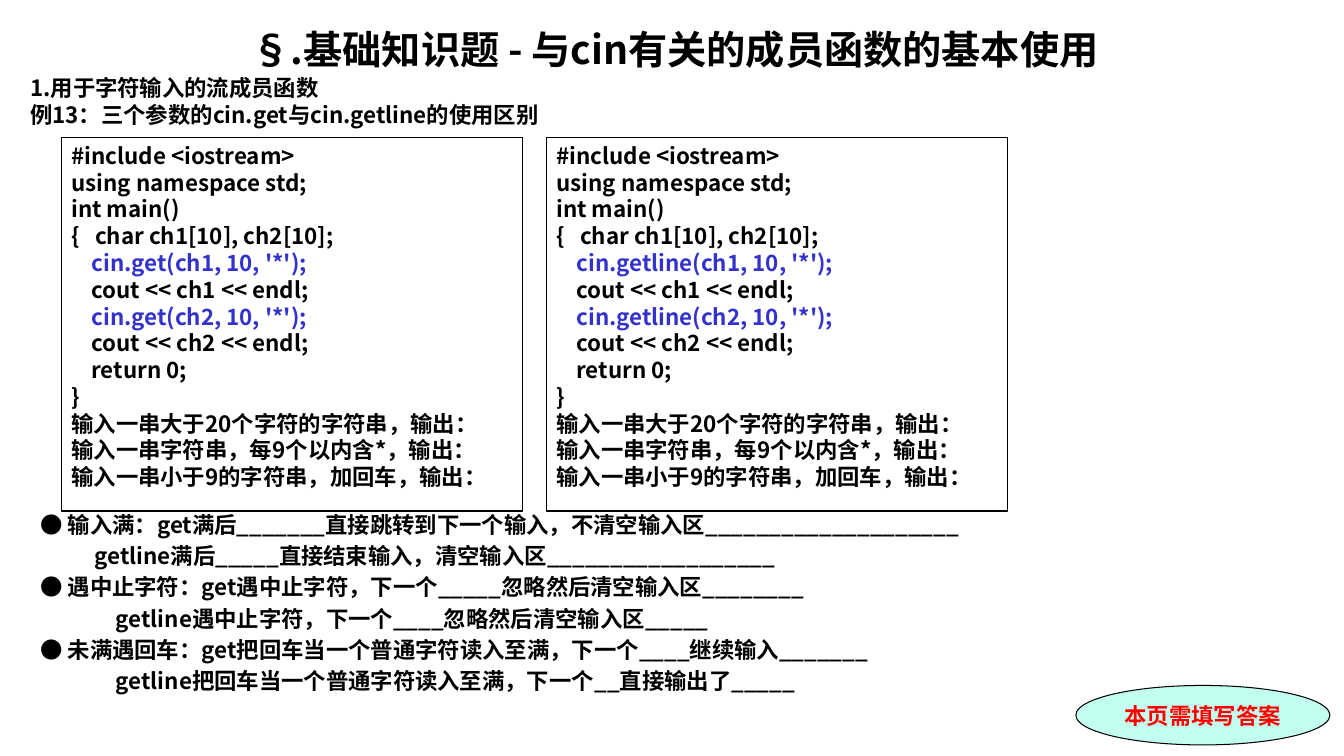
import pptx
import pptx.util
import pptx.dml.color
import pptx.enum.shapes
import pptx.enum.text
import pptx.oxml
import pptx.oxml.ns

Inches, Pt = pptx.util.Inches, pptx.util.Pt
RGB = pptx.dml.color.RGBColor
SHAPE = pptx.enum.shapes.MSO_SHAPE
ALIGN = pptx.enum.text.PP_ALIGN
ANCHOR = pptx.enum.text.MSO_ANCHOR

BLACK, BLUE, RED = RGB(0, 0, 0), RGB(0x33, 0x33, 0xCC), RGB(0xFF, 0, 0)
MINT = RGB(0xC2, 0xFF, 0xF0)
CJK, SERIF = "Noto Sans CJK SC", "Times New Roman"

# Each line is (text, indent in inches, colour)
TITLE = [("§.基础知识题 - 与cin有关的成员函数的基本使用", 0, BLACK)]
INTRO = [
    ("1.用于字符输入的流成员函数", 0, BLACK),
    ("例13：三个参数的cin.get与cin.getline的使用区别", 0, BLACK),
]
NOTES = [
    ("● 输入满：get满后_______直接跳转到下一个输入，不清空输入区____________________", 0, BLACK),
    ("getline满后_____直接结束输入，清空输入区__________________", 0.54, BLACK),
    ("● 遇中止字符：get遇中止字符，下一个_____忽略然后清空输入区________", 0, BLACK),
    ("getline遇中止字符，下一个____忽略然后清空输入区_____", 0.75, BLACK),
    ("● 未满遇回车：get把回车当一个普通字符读入至满，下一个____继续输入_______", 0, BLACK),
    ("getline把回车当一个普通字符读入至满，下一个__直接输出了_____", 0.75, BLACK),
]
BADGE = [("本页需填写答案", 0, RED)]
FUNCTIONS = ["get", "getline"]
CODE = [
    ("#include <iostream>", 0, BLACK),
    ("using namespace std;", 0, BLACK),
    ("int main()", 0, BLACK),
    ("{   char ch1[10], ch2[10];", 0, BLACK),
    ("cin.{}(ch1, 10, '*');", 0.2, BLUE),
    ("cout << ch1 << endl;", 0.2, BLACK),
    ("cin.{}(ch2, 10, '*');", 0.2, BLUE),
    ("cout << ch2 << endl;", 0.2, BLACK),
    ("return 0;", 0.2, BLACK),
    ("}", 0, BLACK),
    ("输入一串大于20个字符的字符串，输出：", 0, BLACK),
    ("输入一串字符串，每9个以内含*，输出：", 0, BLACK),
    ("输入一串小于9的字符串，加回车，输出：", 0, BLACK),
]

WIDTH, HEIGHT = 13.33, 7.5
LEFT, TEXT_WIDTH = 0.3, 12.79
CODE_LEFT, CODE_TOP, CODE_WIDTH, CODE_HEIGHT, CODE_STEP = 0.61, 1.36, 4.57, 3.71, 4.81
LEADING = 1.197


def write(tf, lines, size=16, font=CJK, align=ALIGN.LEFT, after=0, leading=LEADING):
    """Fill a text frame; leading is the line pitch as a share of the size."""
    tf.word_wrap = True
    for i, (text, indent, colour) in enumerate(lines):
        p = tf.paragraphs[0] if i == 0 else tf.add_paragraph()
        spacing = Pt(round(size * leading, 2)) if leading else None
        for name, value in {"alignment": align, "line_spacing": spacing,
                            "space_after": Pt(after)}.items():
            setattr(p, name, value)
        p._p.get_or_add_pPr().set("marL", str(Inches(indent)))
        r = p.add_run()
        r.text = text
        for name, value in {"size": Pt(size), "bold": True, "name": font}.items():
            setattr(r.font, name, value)
        r.font.color.rgb = colour
        ea = pptx.oxml.parse_xml(
            f'<a:ea {pptx.oxml.ns.nsdecls("a")} typeface="{CJK}"/>')
        r.font._rPr.find(pptx.oxml.ns.qn("a:latin")).addnext(ea)


def add_text(slide, box, lines, **style):
    tf = slide.shapes.add_textbox(*map(Inches, box)).text_frame
    for side in ("left", "right", "top", "bottom"):
        setattr(tf, f"margin_{side}", 0)
    write(tf, lines, **style)


def add_outlined(slide, kind, box, fill=None):
    sp = slide.shapes.add_shape(kind, *map(Inches, box))
    sp.shadow.inherit = False
    if fill is None:
        sp.fill.background()
    else:
        sp.fill.solid()
        sp.fill.fore_color.rgb = fill
    sp.line.color.rgb = BLACK
    sp.line.width = Pt(0.75)
    return sp


def main():
    prs = pptx.Presentation()
    prs.slide_width, prs.slide_height = Inches(WIDTH), Inches(HEIGHT)
    slide = prs.slides.add_slide(prs.slide_layouts[6])

    add_text(slide, (LEFT, 0.25, TEXT_WIDTH, 0.47), TITLE, size=28, align=ALIGN.CENTER)
    add_text(slide, (LEFT, 0.74, TEXT_WIDTH, 0.54), INTRO)
    add_text(slide, (LEFT + 0.1, 5.07, TEXT_WIDTH - 0.1, 1.88), NOTES, after=3.2)

    for i, function in enumerate(FUNCTIONS):
        box = (CODE_LEFT + i * CODE_STEP, CODE_TOP, CODE_WIDTH, CODE_HEIGHT)
        sp = add_outlined(slide, SHAPE.RECTANGLE, box)
        sp.text_frame.vertical_anchor = ANCHOR.TOP
        write(sp.text_frame, [(text.replace("{}", function), indent, colour)
                              for text, indent, colour in CODE])

    badge = add_outlined(slide, SHAPE.OVAL, (10.67, 6.8, 2.52, 0.59), MINT)
    badge.text_frame.vertical_anchor = ANCHOR.MIDDLE
    write(badge.text_frame, BADGE, font=SERIF, align=ALIGN.CENTER, leading=None)

    prs.save("out.pptx")


if __name__ == "__main__":
    main()
